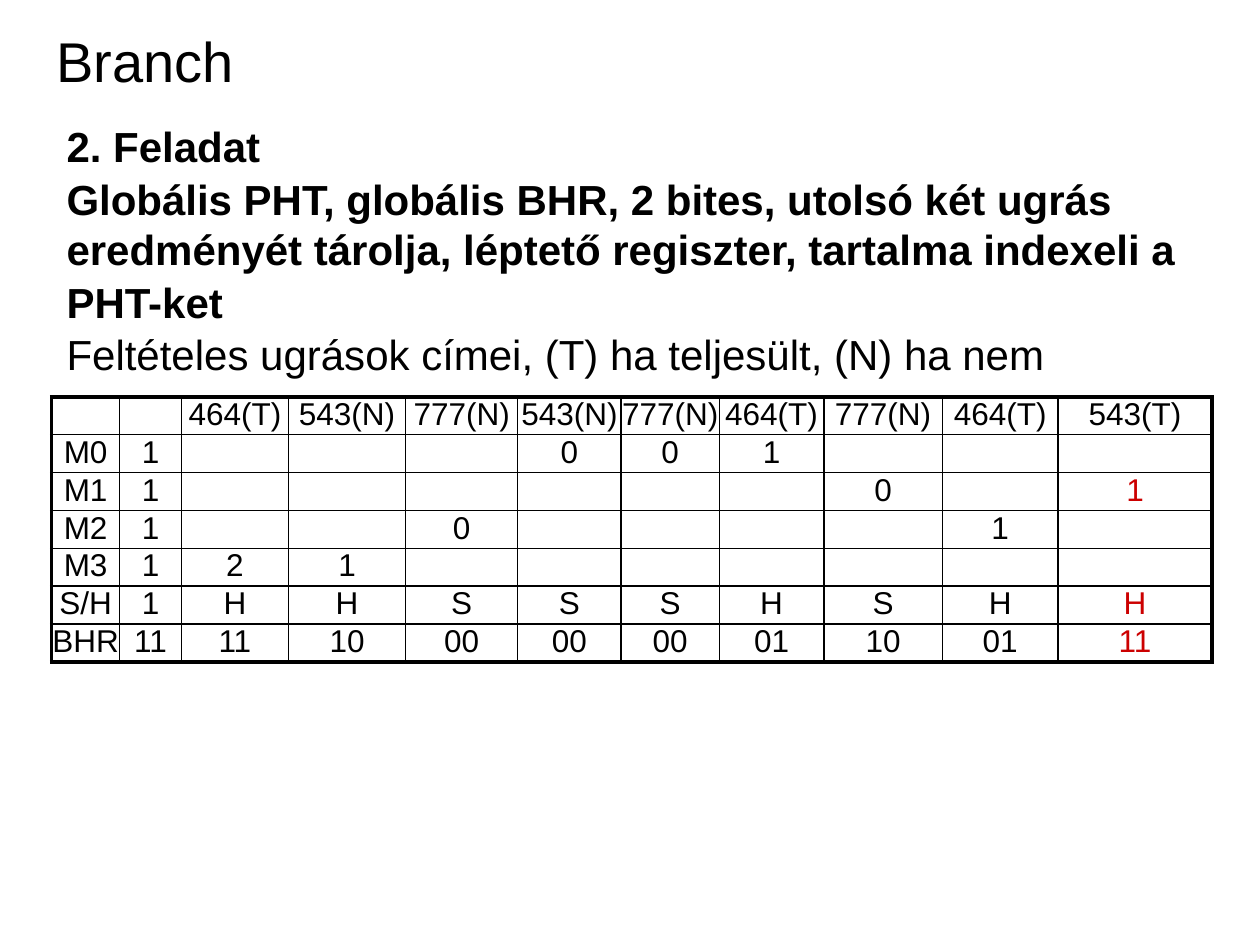
from lxml import etree
from pptx import Presentation
from pptx.dml.color import RGBColor
from pptx.enum import text
from pptx.oxml.ns import qn
from pptx.util import Inches, Pt

BLACK, RED = "000000", "CC0000"
THIN, THICK = 1, 2.25

COLUMN_WIDTHS = [0.54, 0.49, 0.85, 0.93, 0.89, 0.82, 0.78, 0.83, 0.94, 0.92, 1.22]
ROW_HEIGHT = 0.3
BRANCH_ROWS = [
    ["", "", "464(T)", "543(N)", "777(N)", "543(N)", "777(N)", "464(T)", "777(N)", "464(T)", "543(T)"],
    ["M0", "1", "", "", "", "0", "0", "1", "", "", ""],
    ["M1", "1", "", "", "", "", "", "", "0", "", "1"],
    ["M2", "1", "", "", "0", "", "", "", "", "1", ""],
    ["M3", "1", "2", "1", "", "", "", "", "", "", ""],
    ["S/H", "1", "H", "H", "S", "S", "S", "H", "S", "H", "H"],
    ["BHR", "11", "11", "10", "00", "00", "00", "01", "10", "01", "11"],
]

TASK_LINES = [
    ("2. Feladat", True),
    ("Globális PHT, globális BHR, 2 bites, utolsó két ugrás eredményét tárolja, "
     "léptető regiszter, tartalma indexeli a", True),
    ("PHT-ket", True),
    ("Feltételes ugrások címei, (T) ha teljesült, (N) ha nem", False),
]


def rgb(color):
    return RGBColor.from_string(color)


def apply_format(target, values):
    for name, value in values.items():
        setattr(target, name, value)


def format_font(font, size, color=BLACK, bold=False):
    apply_format(font, {"name": "Arial", "size": Pt(size), "bold": bold})
    font.color.rgb = rgb(color)


def add_text_frame(slide, box, anchor):
    frame = slide.shapes.add_textbox(*map(Inches, box)).text_frame
    apply_format(frame, {
        "word_wrap": True, "vertical_anchor": anchor,
        "margin_left": Inches(0.1), "margin_right": Inches(0.1),
        "margin_top": Inches(0.05), "margin_bottom": Inches(0.05),
    })
    return frame


def add_title(slide, box):
    paragraph = add_text_frame(slide, box, text.MSO_ANCHOR.MIDDLE).paragraphs[0]
    run = paragraph.add_run()
    run.text = "Branch"
    format_font(run.font, 32)


def add_task(slide, box):
    frame = add_text_frame(slide, box, text.MSO_ANCHOR.TOP)
    for index, (line, bold) in enumerate(TASK_LINES):
        paragraph = frame.add_paragraph() if index else frame.paragraphs[0]
        paragraph.line_spacing = 1.0
        paragraph.space_before = Pt(1.2 if index else 0)
        run = paragraph.add_run()
        run.text = line
        format_font(run.font, 24, bold=bold)


def set_borders(cell, widths):
    """Draw the borders, given as tag to points; they must precede the fill in tcPr."""
    properties = cell._tc.get_or_add_tcPr()
    for position, (tag, width) in enumerate(widths.items()):
        line = etree.Element(qn(f"a:{tag}"), w=str(Pt(width)))
        fill = etree.SubElement(line, qn("a:solidFill"))
        etree.SubElement(fill, qn("a:srgbClr"), val=BLACK)
        properties.insert(position, line)


def fill_cell(cell, value, color):
    apply_format(cell, {"margin_left": 0, "margin_right": 0,
                        "margin_top": 0, "margin_bottom": 0})
    cell.fill.background()
    paragraph = cell.text_frame.paragraphs[0]
    paragraph.alignment = text.PP_ALIGN.CENTER
    if value:
        run = paragraph.add_run()
        run.text = value
        format_font(run.font, 18, color)
    else:
        paragraph.font.size = Pt(18)


def add_branch_table(slide, left, top):
    row_count, column_count = len(BRANCH_ROWS), len(COLUMN_WIDTHS)
    table = slide.shapes.add_table(
        row_count, column_count, Inches(left), Inches(top),
        Inches(sum(COLUMN_WIDTHS)), Inches(ROW_HEIGHT * row_count)).table
    apply_format(table, {"first_row": False, "horz_banding": False})
    for column, width in zip(table.columns, COLUMN_WIDTHS):
        column.width = Inches(width)
    last_row, last_column = row_count - 1, column_count - 1
    for r, values in enumerate(BRANCH_ROWS):
        table.rows[r].height = Inches(ROW_HEIGHT)
        for c, value in enumerate(values):
            cell = table.cell(r, c)
            fill_cell(cell, value, RED if r and c == last_column else BLACK)
            set_borders(cell, {
                "lnL": THIN if c else THICK,
                "lnR": THICK if c == last_column else THIN,
                "lnT": THIN if r else THICK,
                "lnB": THICK if r == last_row else THIN,
            })


def main():
    presentation = Presentation()
    apply_format(presentation, {"slide_width": Inches(10), "slide_height": Inches(7.5)})
    slide = presentation.slides.add_slide(presentation.slide_layouts[6])
    add_title(slide, (0.35, 0.21, 5.75, 0.54))
    add_task(slide, (0.43, 0.91, 9.07, 4.96))
    add_branch_table(slide, 0.41, 3.15)
    presentation.save("out.pptx")


if __name__ == "__main__":
    main()
